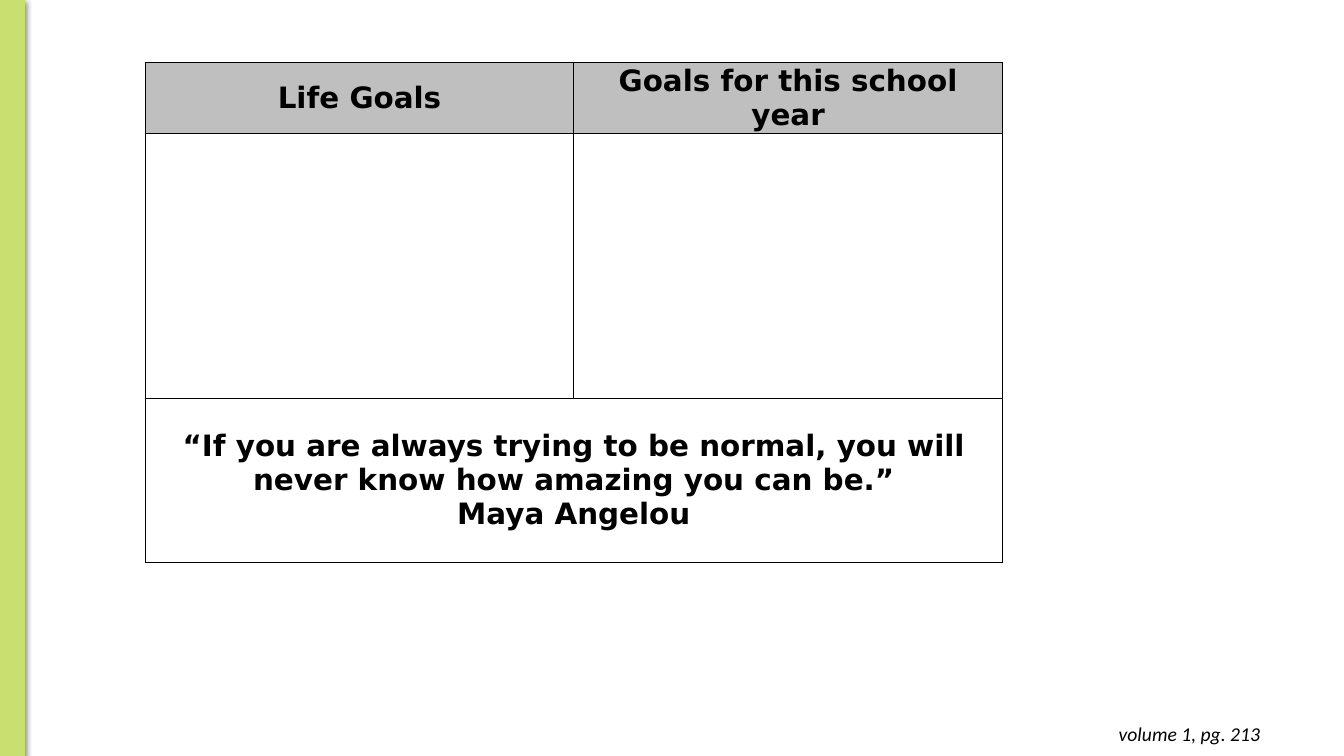
from lxml.etree import SubElement
from pptx import Presentation
from pptx.dml.color import RGBColor
from pptx.enum.shapes import MSO_SHAPE
from pptx.enum.text import MSO_ANCHOR, PP_ALIGN
from pptx.oxml import parse_xml
from pptx.oxml.ns import nsdecls, qn
from pptx.util import Cm, Pt

# Content
HEADERS = ["Life Goals", "Goals for this school year"]
QUOTE = [
    "“If you are always trying to be normal, you will never know how amazing you can be.”",
    "Maya Angelou",
]
PAGE_REF = "volume 1, pg. 213"

# Layout in cm
SLIDE_W, SLIDE_H = 33.87, 19.05
TABLE_LEFT, TABLE_TOP = 3.66, 1.58
COL_W = 10.8
ROW_HEIGHTS = [1.75, 6.68, 4.13]

BLACK, WHITE, GREY, GREEN = "000000", "FFFFFF", "BFBFBF", "C9DF6F"


def color(value):
    return RGBColor.from_string(value)


def style(p, font, size, align, bold=False, italic=False):
    p.alignment = align
    p.font.name, p.font.size = font, Pt(size)
    p.font.bold, p.font.italic = bold, italic
    p.font.color.rgb = color(BLACK)


def add_shadow(sp):
    sp.shadow.inherit = False
    effects = sp._element.spPr.find(qn("a:effectLst"))
    shadow = SubElement(effects, qn("a:outerShdw"), blurRad=str(Pt(4.5)),
                        dist=str(Pt(1.5)), dir="5400000", rotWithShape="0")
    black = SubElement(shadow, qn("a:srgbClr"), val=BLACK)
    SubElement(black, qn("a:alpha"), val="50000")


def add_borders(cell):
    tc_pr = cell._tc.get_or_add_tcPr()
    for i, side in enumerate("LRTB"):
        tc_pr.insert(i, parse_xml(
            f'<a:ln{side} {nsdecls("a")} w="{Pt(1)}"><a:solidFill>'
            f'<a:srgbClr val="{BLACK}"/></a:solidFill></a:ln{side}>'))


def fill_cell(cell, lines, margin_x, margin_y):
    cell.vertical_anchor = MSO_ANCHOR.MIDDLE
    cell.margin_left = cell.margin_right = Cm(margin_x)
    cell.margin_top = cell.margin_bottom = Cm(margin_y)
    cell.text = "\n".join(lines)
    for p in cell.text_frame.paragraphs:
        style(p, "DejaVu Sans", 21, PP_ALIGN.CENTER, bold=True)


prs = Presentation()
prs.slide_width, prs.slide_height = Cm(SLIDE_W), Cm(SLIDE_H)
s = prs.slides.add_slide(prs.slide_layouts[6])

# Side band
band = s.shapes.add_shape(MSO_SHAPE.RECTANGLE, 0, 0, Cm(0.62), Cm(19.07))
band.fill.solid()
band.fill.fore_color.rgb = color(GREEN)
band.line.color.rgb = color(GREEN)
band.line.width = Pt(0.75)
add_shadow(band)

# Page reference
tf = s.shapes.add_textbox(Cm(24.7), Cm(17.93), Cm(7.31), Cm(1.12)).text_frame
tf.word_wrap = True
tf.margin_left = tf.margin_right = tf.margin_top = tf.margin_bottom = Cm(0.25)
tf.text = PAGE_REF
style(tf.paragraphs[0], "Calibri", 14, PP_ALIGN.RIGHT, italic=True)

# Goals table
table = s.shapes.add_table(
    len(ROW_HEIGHTS), len(HEADERS), Cm(TABLE_LEFT), Cm(TABLE_TOP),
    Cm(COL_W * len(HEADERS)), Cm(sum(ROW_HEIGHTS))).table
for column in table.columns:
    column.width = Cm(COL_W)
for row, height in zip(table.rows, ROW_HEIGHTS):
    row.height = Cm(height)
for cell in table.iter_cells():
    cell.fill.solid()
    cell.fill.fore_color.rgb = color(WHITE)
    add_borders(cell)

for i, header in enumerate(HEADERS):
    cell = table.cell(0, i)
    cell.fill.fore_color.rgb = color(GREY)
    fill_cell(cell, [header], 0.23, 0)

quote_cell = table.cell(2, 0)
quote_cell.merge(table.cell(2, 1))
fill_cell(quote_cell, QUOTE, 0.3, 0.15)

prs.save("out.pptx")
